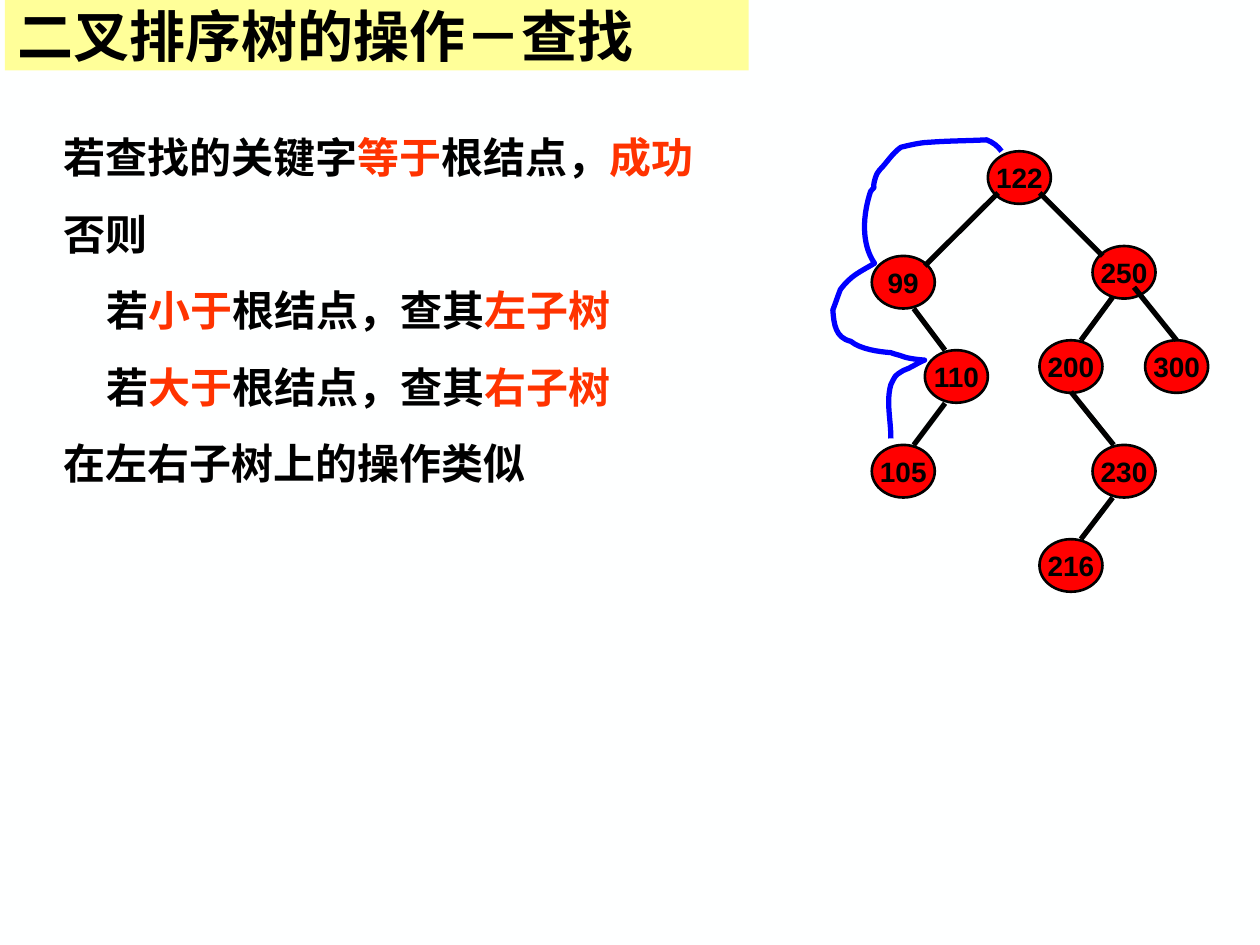
from lxml import etree
from pptx import Presentation
from pptx.dml.color import RGBColor
from pptx.enum.shapes import MSO_CONNECTOR, MSO_SHAPE
from pptx.enum.text import MSO_ANCHOR, MSO_AUTO_SIZE, PP_ALIGN
from pptx.oxml.ns import qn
from pptx.util import Cm, Pt

STRAIGHT, OVAL = MSO_CONNECTOR.STRAIGHT, MSO_SHAPE.OVAL
MIDDLE, TOP = MSO_ANCHOR.MIDDLE, MSO_ANCHOR.TOP
LEFT, CENTER = PP_ALIGN.LEFT, PP_ALIGN.CENTER
FIXED_SIZE = MSO_AUTO_SIZE.NONE
CHINESE, LATIN = "Noto Sans CJK SC", "Arial"
COLORS = {"background": "FEFFFF", "banner": "FFFF99", "text": "000000",
          "keyword": "FF3300", "node": "FF0000", "search": "0000FF"}


def color(name):
    return RGBColor.from_string(COLORS[name])


def format_run(run, size, font, color_name="text"):
    run.font.size, run.font.name, run.font.bold = Pt(size), font, True
    run.font.color.rgb = color(color_name)
    east_asian = etree.SubElement(run.font._element, qn("a:ea"))
    east_asian.set("typeface", font)


prs = Presentation()
prs.slide_width, prs.slide_height = Cm(25.4), Cm(19.05)
slide = prs.slides.add_slide(prs.slide_layouts[5])
slide.background.fill.solid()
slide.background.fill.fore_color.rgb = color("background")

# Title banner
title = slide.shapes.title
title.left, title.top, title.width, title.height = Cm(0.1), Cm(0), Cm(14.99), Cm(1.42)
title.fill.solid()
title.fill.fore_color.rgb = color("banner")
title.text_frame.text = "二叉排序树的操作－查找"
title.text_frame.auto_size = FIXED_SIZE
title.text_frame.vertical_anchor = MIDDLE
title.text_frame.paragraphs[0].alignment = LEFT
format_run(title.text_frame.paragraphs[0].runs[0], 32, CHINESE)

# Search rules: left margin in cm, then pieces alternating plain and keyword
RULES = [
    (1.27, ["若查找的关键字", "等于", "根结点，", "成功"]),
    (1.27, ["否则"]),
    (2.12, ["若", "小于", "根结点，查其", "左子树"]),
    (2.12, ["若", "大于", "根结点，查其", "右子树"]),
    (1.27, ["在左右子树上的操作类似"]),
]
rules = slide.shapes.add_textbox(Cm(-0.23), Cm(2.54), Cm(15.34), Cm(7.47)).text_frame
rules.word_wrap = True
rules.vertical_anchor = TOP
for i, (margin, pieces) in enumerate(RULES):
    rule = rules.add_paragraph() if i else rules.paragraphs[0]
    rule._p.get_or_add_pPr().set("marL", str(Cm(margin)))
    rule.line_spacing = Pt(28.7)
    if i:
        rule.space_before = Pt(15)
    for j, piece in enumerate(pieces):
        run = rule.add_run()
        run.text = piece
        format_run(run, 24, CHINESE, "keyword" if j % 2 else "text")

# Tree nodes: centre of each key in cm
NODE_W, NODE_H = 1.27, 1.06
CENTRES = {
    "122": (20.55, 3.58), "250": (22.66, 5.49), "300": (23.72, 7.39),
    "110": (19.28, 7.59), "200": (21.59, 7.39), "99": (18.21, 5.69),
    "105": (18.21, 9.5), "230": (22.66, 9.5), "216": (21.59, 11.4),
}
tree = slide.shapes.add_group_shape()
nodes = {}
for key, (x, y) in CENTRES.items():
    node = tree.shapes.add_shape(OVAL, Cm(x - NODE_W / 2), Cm(y - NODE_H / 2),
                                 Cm(NODE_W), Cm(NODE_H))
    node.shadow.inherit = False
    node.fill.solid()
    node.fill.fore_color.rgb = color("node")
    node.line.color.rgb = color("text")
    node.line.width = Pt(1.5)
    node.text_frame.text = key
    node.text_frame.word_wrap = False
    node.text_frame.vertical_anchor = MIDDLE
    node.text_frame.paragraphs[0].alignment = CENTER
    format_run(node.text_frame.paragraphs[0].runs[0], 16, LATIN)
    nodes[key] = node

# Tree edges: parent end and child end in cm
EDGES = {
    ("122", "99"): (20.12, 3.89, 18.64, 5.36),
    ("122", "250"): (20.96, 3.89, 22.23, 5.16),
    ("250", "300"): (22.86, 5.79, 23.72, 6.86),
    ("250", "200"): (22.43, 5.99, 21.79, 6.86),
    ("99", "110"): (18.42, 6.22, 19.05, 7.06),
    ("110", "105"): (19.05, 8.13, 18.42, 8.97),
    ("200", "230"): (21.59, 7.9, 22.45, 8.97),
    ("230", "216"): (22.43, 10.03, 21.79, 10.87),
}
for (parent, child), ends in EDGES.items():
    edge = tree.shapes.add_connector(STRAIGHT, *[Cm(v) for v in ends])
    edge.line.color.rgb = color("text")
    edge.line.width = Pt(3)
    etree.SubElement(edge._element.spPr, qn("a:effectLst"))
    if child == "300":
        edge.end_connect(nodes[child], 0)

# Search path 122 - 99 - 110 - 105: a start point, then three points per curve
SEARCH_START = (20.19, 3.05)
SEARCH_CURVES = [
    (20.12, 2.95), (20.02, 2.87), (19.89, 2.82),
    (19.48, 2.84), (19.1, 2.84), (18.72, 2.87),
    (18.54, 2.87), (18.16, 2.97), (18.16, 2.97),
    (17.98, 3.1), (17.88, 3.28), (17.73, 3.43),
    (17.7, 3.48), (17.65, 3.53), (17.65, 3.58),
    (17.55, 3.91), (17.7, 3.68), (17.55, 3.86),
    (17.4, 4.32), (17.35, 4.9), (17.63, 5.31),
    (17.32, 5.49), (17.15, 5.56), (16.94, 5.84),
    (16.89, 5.97), (16.84, 6.12), (16.79, 6.25),
    (16.81, 6.53), (16.84, 6.81), (17.15, 6.88),
    (17.35, 7.04), (17.7, 7.09), (17.96, 7.11),
    (18.03, 7.14), (18.14, 7.16), (18.21, 7.19),
    (18.34, 7.24), (18.64, 7.26), (18.64, 7.26),
    (18.49, 7.32), (18.36, 7.42), (18.21, 7.47),
    (18.01, 7.59), (18.06, 7.57), (17.96, 7.75),
    (17.86, 8.1), (17.96, 8.46), (17.96, 8.84),
]
builder = slide.shapes.build_freeform(Cm(SEARCH_START[0]), Cm(SEARCH_START[1]))
builder.add_line_segments([(Cm(x), Cm(y)) for x, y in SEARCH_CURVES], close=False)
search = builder.convert_to_shape()
search.shadow.inherit = False
search.fill.background()
search.line.color.rgb = color("search")
search.line.width = Pt(3)

# Turn every three line steps into one Bézier curve
steps = list(search._element.iter(qn("a:lnTo")))
outline = steps[0].getparent()
for i in range(0, len(steps), 3):
    curve = etree.SubElement(outline, qn("a:cubicBezTo"))
    for step in steps[i:i + 3]:
        curve.append(step[0])
        outline.remove(step)

prs.save("out.pptx")
